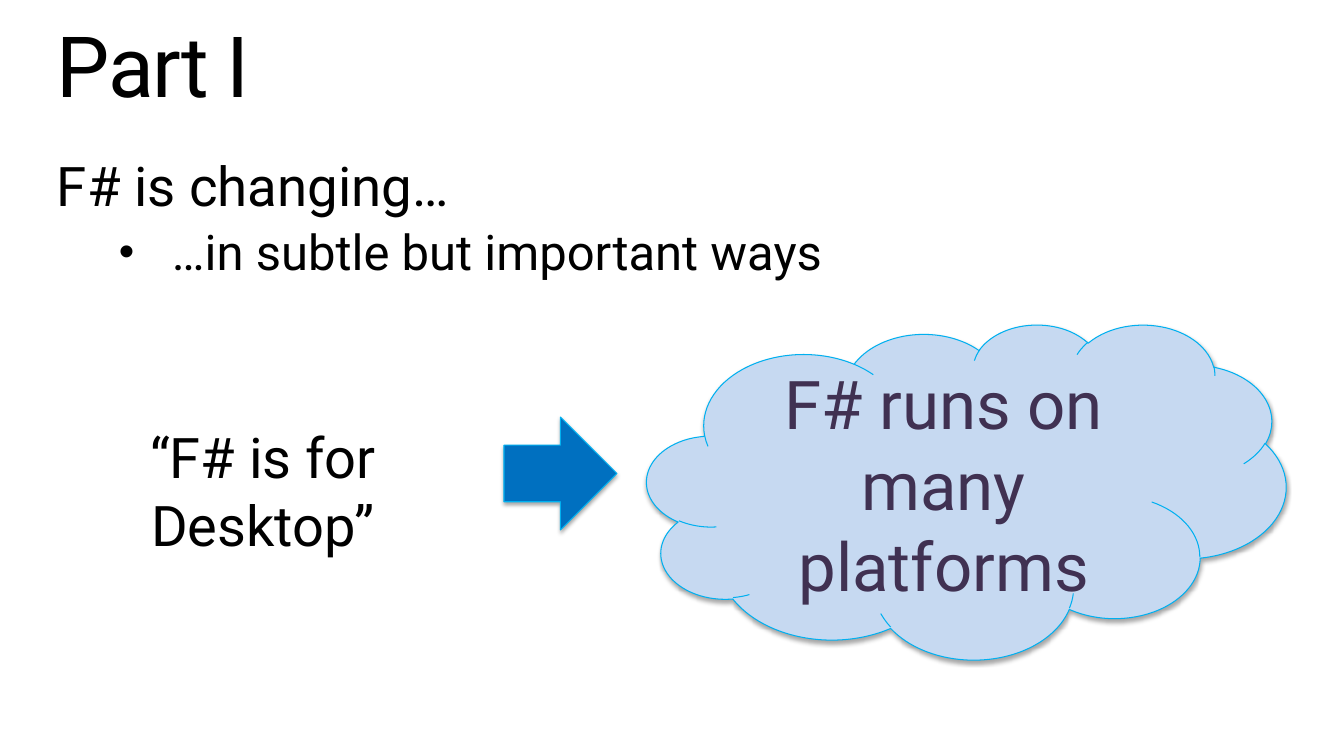
from lxml.etree import SubElement as Sub
from pptx import Presentation
from pptx.dml.color import RGBColor
from pptx.enum.shapes import MSO_SHAPE as Kind
from pptx.enum.text import MSO_ANCHOR as Anchor, PP_ALIGN as Align
from pptx.oxml.ns import qn
from pptx.util import Pt

FONT = "Roboto"
SCALE = 914400 / 100.8


def px(n):
    return round(n * SCALE)


def place(box):
    return [px(n) for n in box]


def color(code):
    return RGBColor.from_string(code)


def style(para, size, code="000000", align=Align.LEFT, line=1.0):
    para.alignment = align
    para.line_spacing = line
    font = para.font
    font.name, font.size = FONT, Pt(size)
    font.color.rgb = color(code)


def clear(frame):
    frame.word_wrap = True
    frame.margin_left = frame.margin_right = 0
    frame.margin_top = frame.margin_bottom = 0
    frame.vertical_anchor = Anchor.TOP


def head(slide, box, text):
    title = slide.shapes.title
    title.left, title.top, title.width, title.height = place(box)
    frame = title.text_frame
    clear(frame)
    frame.text = text
    para = frame.paragraphs[0]
    style(para, 60.3, line=0.9)
    para.runs[0].font._element.set("spc", "-120")


def note(slide, box):
    frame = slide.shapes.add_textbox(*place(box)).text_frame
    clear(frame)
    return frame


def body(slide, box, lead, point):
    frame = note(slide, box)
    first = frame.paragraphs[0]
    first.text = lead
    style(first, 39, line=0.9)
    item = frame.add_paragraph()
    item.text = point
    item.level = 1
    item.space_before = Pt(7)
    props = item._p.get_or_add_pPr()
    props.set("marL", str(px(115)))
    props.set("indent", str(px(-53)))
    Sub(props, qn("a:buSzPct"), val="90000")
    Sub(props, qn("a:buFont"), typeface="Arial")
    Sub(props, qn("a:buChar"), char="•")
    style(item, 35, line=0.9)


def shade(shape):
    shape.shadow.inherit = False
    effects = shape._element.spPr.find(qn("a:effectLst"))
    outer = Sub(effects, qn("a:outerShdw"), blurRad=str(Pt(3.1)),
                dist=str(Pt(1.8)), dir="5400000", rotWithShape="0")
    tint = Sub(outer, qn("a:srgbClr"), val="000000")
    Sub(tint, qn("a:alpha"), val="35000")


def block(slide, kind, box, fill):
    shape = slide.shapes.add_shape(kind, *place(box))
    shape.fill.solid()
    shape.fill.fore_color.rgb = color(fill)
    shape.line.color.rgb = color("00B0F0")
    shape.line.width = Pt(0.75)
    shade(shape)
    return shape


def shift(slide, box, old, new):
    left, top, width, height = box
    cloud = block(slide, Kind.CLOUD, (left + 614, top, width - 614, height), "C6D9F1")
    frame = cloud.text_frame
    frame.word_wrap = True
    frame.vertical_anchor = Anchor.MIDDLE
    frame.text = new
    style(frame.paragraphs[0], 48, "403152", Align.CENTER)
    block(slide, Kind.RIGHT_ARROW, (left + 471, top + 93, 113, 113), "0070C0")
    frame = note(slide, (left + 30, top + 99, 400, 134))
    frame.text = old
    style(frame.paragraphs[0], 40, align=Align.CENTER)


def main():
    deck = Presentation()
    deck.slide_width, deck.slide_height = px(1344), px(756)
    slide = deck.slides.add_slide(deck.slide_layouts[5])
    head(slide, (57, 25, 1229, 82), "Part I")
    body(slide, (57, 159, 1229, 190), "F# is changing…", "…in subtle but important ways")
    shift(slide, (33, 324, 1253, 335), "“F# is for Desktop”", "F# runs on many platforms")
    deck.save("out.pptx")


if __name__ == "__main__":
    main()
